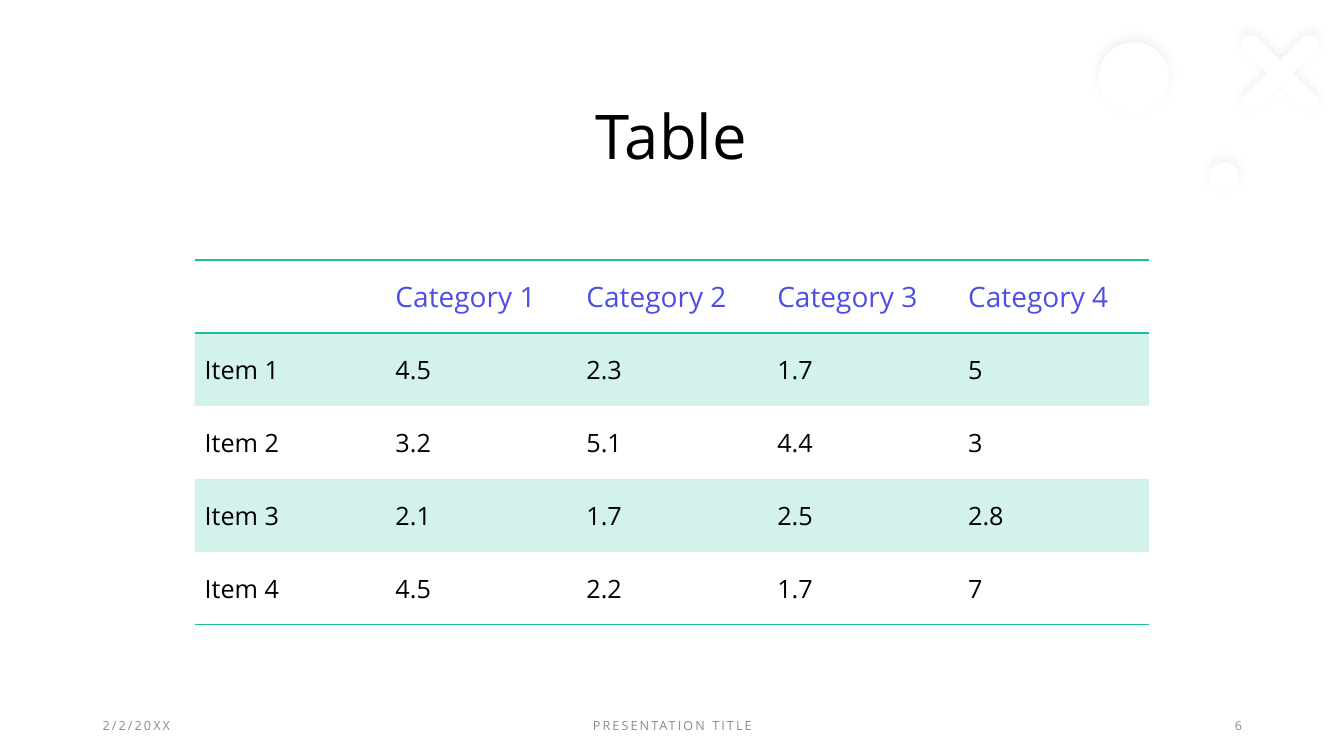
"""Build a slide with a titled table of items by category and a footer."""
from math import cos, pi, sin

from lxml import etree
from pptx import Presentation
from pptx.dml.color import RGBColor
from pptx.enum.shapes import MSO_SHAPE
from pptx.enum.text import MSO_ANCHOR, PP_ALIGN
from pptx.oxml.ns import qn
from pptx.util import Inches, Pt

LEFT, CENTER, RIGHT = PP_ALIGN.LEFT, PP_ALIGN.CENTER, PP_ALIGN.RIGHT
MIDDLE, OVAL = MSO_ANCHOR.MIDDLE, MSO_SHAPE.OVAL
FONT = "Open Sans"
TEAL, VIOLET, BLACK, GREY, WHITE = "1EBE9B", "4D4EE6", "000000", "8C8C8C", "FFFFFF"
PLAIN_STYLE = "{2D5ABB26-0587-4C30-8999-92F81FD0307C}"

WIDTH, HEIGHT = 40 / 3, 7.5
TITLE = ("Table", (0.9, 0.62, 11.52, 1.52))
FOOTER_TOP, FOOTER_HEIGHT = 7, 0.4
FOOTER = [
    ("2/2/20XX", 0.92, 3, LEFT),
    ("PRESENTATION TITLE", 4.42, 4.5, CENTER),
    ("6", 9.42, 3, RIGHT),
]
CROSS_CENTER, CROSS_REACH, CROSS_RADIUS, CROSS_TURN = (12.7, 0.73), 0.5, 0.09, 45
DISCS = [(12, 1.61, 0.29), (10.9, 0.42, 0.7)]
SHADOW = {"blurRad": Pt(8), "dist": Pt(3), "dir": 270 * 60000, "rotWithShape": 0}
TABLE_BOX = (1.93, 2.58, 9.47, 3.62)
ROWS = [
    ["", "Category 1", "Category 2", "Category 3", "Category 4"],
    ["Item 1", "4.5", "2.3", "1.7", "5"],
    ["Item 2", "3.2", "5.1", "4.4", "3"],
    ["Item 3", "2.1", "1.7", "2.5", "2.8"],
    ["Item 4", "4.5", "2.2", "1.7", "7"],
]

TITLE_FORMAT = {"size": Pt(44), "name": FONT}
FOOTER_FORMAT = {"size": Pt(9), "name": FONT}
HEADER_FORMAT = {"size": Pt(20), "name": FONT}
BODY_FORMAT = {"size": Pt(18), "name": FONT}


def color(value):
    """Turn a hex string into a colour."""
    return RGBColor.from_string(value)


def finish(shape):
    """Give a decoration a white fill, no line and a faint upward shadow."""
    shape.fill.solid()
    shape.fill.fore_color.rgb = color(WHITE)
    shape.line.fill.background()
    shape.shadow.inherit = False
    values = {key: str(value) for key, value in SHADOW.items()}
    for effects in shape.element.iter(qn("a:effectLst")):
        shadow = etree.SubElement(effects, qn("a:outerShdw"), values)
        shade = etree.SubElement(shadow, qn("a:srgbClr"), val=BLACK)
        etree.SubElement(shade, qn("a:alpha"), val="5000")


def add_cross(page):
    """Add a round-ended cross, one arm per quarter turn."""
    middle_x, middle_y = CROSS_CENTER
    points = []
    for arm in range(4):
        turn = arm * pi / 2
        outline = [(CROSS_RADIUS, -CROSS_RADIUS)]
        for step in range(-6, 7):
            angle = step * pi / 12
            along = CROSS_REACH - CROSS_RADIUS + CROSS_RADIUS * cos(angle)
            outline.append((along, CROSS_RADIUS * sin(angle)))
        for x, y in outline:
            across = middle_x + x * cos(turn) - y * sin(turn)
            down = middle_y + x * sin(turn) + y * cos(turn)
            points.append((Inches(across), Inches(down)))
    builder = page.shapes.build_freeform(*points[0])
    builder.add_line_segments(points[1:], close=True)
    cross = builder.convert_to_shape()
    cross.rotation = CROSS_TURN
    finish(cross)


def add_decoration(page):
    """Add the cross and the discs of the top right corner."""
    add_cross(page)
    for left, top, size in DISCS:
        finish(page.shapes.add_shape(OVAL, *map(Inches, (left, top, size, size))))


def write(frame, text, formats, ink, align=LEFT):
    """Write one formatted line and return its paragraph and run."""
    para = frame.paragraphs[0]
    para.alignment = align
    span = para.add_run()
    span.text = text
    for key, value in formats.items():
        setattr(span.font, key, value)
    span.font.color.rgb = color(ink)
    return para, span


def add_text(page, area, text, formats, ink, align):
    """Add a wrapped, vertically centred text box."""
    frame = page.shapes.add_textbox(*map(Inches, area)).text_frame
    for key, value in {"word_wrap": True, "vertical_anchor": MIDDLE}.items():
        setattr(frame, key, value)
    return write(frame, text, formats, ink, align)


def add_borders(cell, sides):
    """Draw teal one-point borders on the given sides of a cell."""
    properties = cell._tc.get_or_add_tcPr()
    for index, side in enumerate(sides):
        line = etree.Element(qn(f"a:ln{side}"), w=str(Pt(1)))
        fill = etree.SubElement(line, qn("a:solidFill"))
        etree.SubElement(fill, qn("a:srgbClr"), val=TEAL)
        properties.insert(index, line)


def tint(cell):
    """Fill a cell with teal at twenty percent opacity."""
    cell.fill.solid()
    cell.fill.fore_color.rgb = color(TEAL)
    for shade in cell._tc.tcPr.find(qn("a:solidFill")):
        etree.SubElement(shade, qn("a:alpha"), val="20000")


def add_data_table(page):
    """Add the table with a ruled header and tinted odd rows."""
    last = len(ROWS) - 1
    shape = page.shapes.add_table(len(ROWS), len(ROWS[0]), *map(Inches, TABLE_BOX))
    for style in shape.element.iter(qn("a:tableStyleId")):
        style.text = PLAIN_STYLE
    table = shape.table
    table.horz_banding = False
    borders = {0: "TB", last: "B"}
    for row, values in enumerate(ROWS):
        formats, ink = (BODY_FORMAT, BLACK) if row else (HEADER_FORMAT, VIOLET)
        for column, text in enumerate(values):
            cell = table.cell(row, column)
            cell.vertical_anchor = MIDDLE
            if text:
                write(cell.text_frame, text, formats, ink)
            if row % 2:
                tint(cell)
            else:
                cell.fill.background()
            add_borders(cell, borders.get(row, ""))


def main():
    """Build and save the deck."""
    deck = Presentation()
    deck.slide_width, deck.slide_height = Inches(WIDTH), Inches(HEIGHT)
    page = deck.slides.add_slide(deck.slide_layouts[6])
    add_decoration(page)
    text, area = TITLE
    para, _ = add_text(page, area, text, TITLE_FORMAT, BLACK, CENTER)
    para.line_spacing = 0.9
    for text, left, width, align in FOOTER:
        area = (left, FOOTER_TOP, width, FOOTER_HEIGHT)
        _, span = add_text(page, area, text, FOOTER_FORMAT, GREY, align)
        span.font._element.set("spc", "150")
    add_data_table(page)
    deck.save("out.pptx")


if __name__ == "__main__":
    main()
